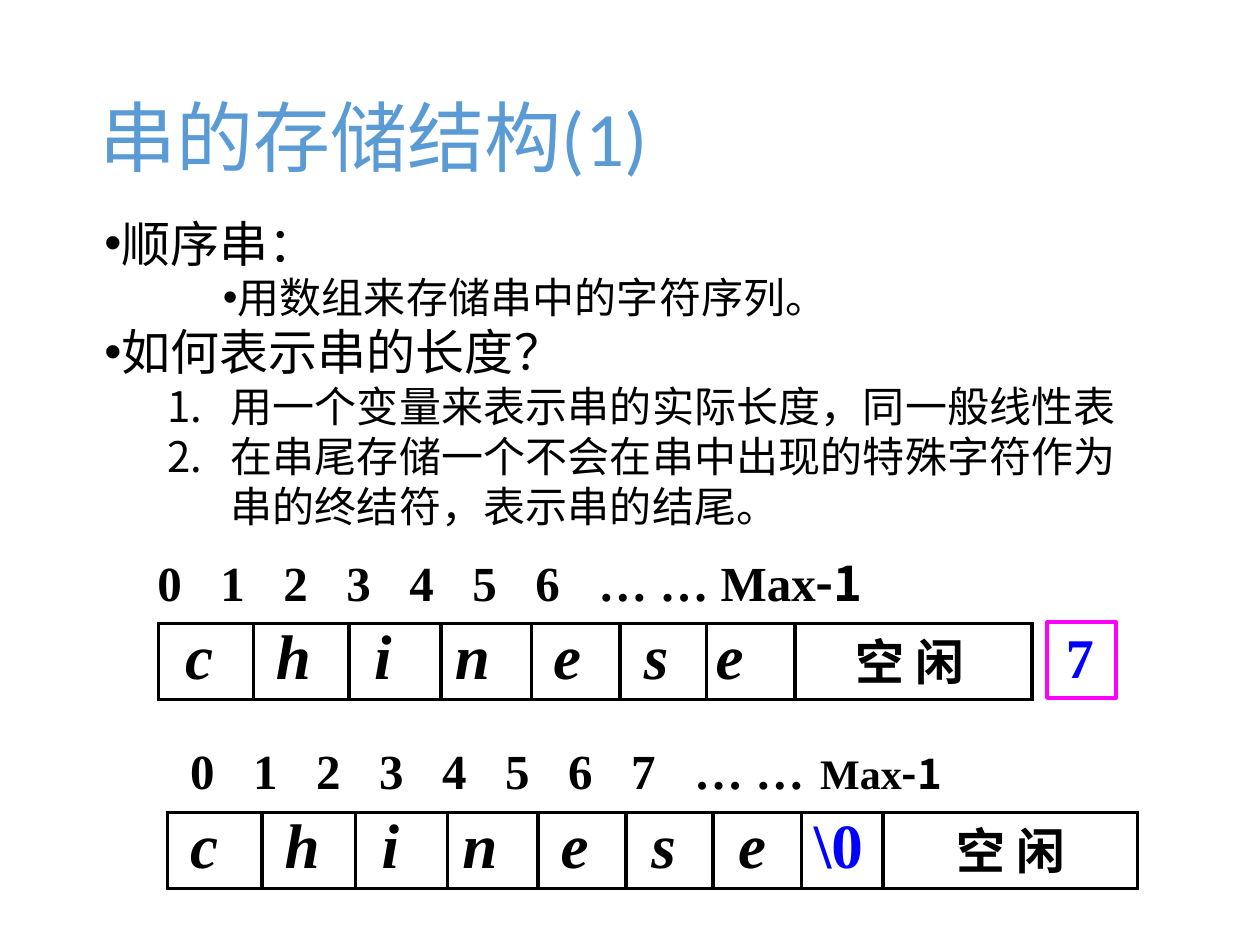
from dataclasses import dataclass

from lxml import etree
from pptx import Presentation
from pptx import util as u
from pptx.dml.color import RGBColor
from pptx.enum import shapes, text
from pptx.oxml import ns


@dataclass(frozen=True)
class Theme:
    title_color: str = "5B9BD5"
    ink: str = "000000"
    accent: str = "0000FF"
    frame: str = "FF00FF"
    latin: str = "Calibri"
    serif: str = "Times New Roman"
    chinese: str = "Noto Sans CJK SC"
    title: int = 44
    letter: int = 36
    count: int = 32
    large: int = 28
    medium: int = 24
    line: float = 2.25


THEME = Theme()
INDEX_TABS = (0.71, 1.51, 2.21, 2.91, 3.72, 4.42, 5.13, 5.63, 6.83)
LETTER = dict(size=THEME.letter, font=THEME.serif, bold=True, italic=True)
TERMINATOR = dict(LETTER, color=THEME.accent, italic=False)
FREE = dict(size=THEME.large, font=THEME.chinese, bold=True)


def add_child(parent, tag, **attributes):
    child = etree.SubElement(parent, ns.qn(tag))
    for name, value in attributes.items():
        child.set(name, str(value))
    return child


def add_run(paragraph, words, size, font, color=THEME.ink, east=None, spacing=0, **formats):
    run = paragraph.add_run()
    run.text = words
    for name, value in dict(formats, size=u.Pt(size), name=font).items():
        setattr(run.font, name, value)
    run.font.color.rgb = RGBColor.from_string(color)
    properties = run.font._element
    add_child(properties, "a:ea", typeface=east or font)
    if spacing:
        properties.set("spc", str(round(spacing * 100)))


def set_indent(paragraph, left, first=0):
    properties = paragraph._p.get_or_add_pPr()
    properties.set("marL", str(u.Inches(left)))
    properties.set("indent", str(u.Inches(first)))
    return properties


def format_frame(frame, margin_x=0, margin_y=0, anchor=text.MSO_ANCHOR.TOP):
    formats = dict(
        word_wrap=True,
        vertical_anchor=anchor,
        margin_left=u.Inches(margin_x),
        margin_right=u.Inches(margin_x),
        margin_top=u.Inches(margin_y),
        margin_bottom=u.Inches(margin_y),
    )
    for name, value in formats.items():
        setattr(frame, name, value)
    return frame


def add_text(slide, box, **formats):
    shape = slide.shapes.add_textbox(*map(u.Inches, box))
    return format_frame(shape.text_frame, **formats)


def add_title(slide, box, words):
    frame = add_text(slide, box, margin_x=0.1, margin_y=0.05, anchor=text.MSO_ANCHOR.MIDDLE)
    paragraph = frame.paragraphs[0]
    paragraph.line_spacing = 0.9
    add_run(paragraph, words, THEME.title, THEME.latin, THEME.title_color, east=THEME.chinese)


def add_body(slide, box, items):
    """Items are (words, size, left indent, first-line indent, numbered)."""
    frame = add_text(slide, box, margin_x=0.1, margin_y=0.05)
    for index, (words, size, left, first, numbered) in enumerate(items):
        paragraph = frame.add_paragraph() if index else frame.paragraphs[0]
        paragraph.level = 1 if size == THEME.medium else 0
        paragraph.line_spacing = u.Pt(round(size * 1.19, 1))
        properties = set_indent(paragraph, left, first)
        if numbered:
            add_child(properties, "a:buAutoNum", type="arabicPeriod")
        else:
            add_child(properties, "a:buFont", typeface="Arial")
            add_child(properties, "a:buChar", char="•")
        add_run(paragraph, words, size, THEME.chinese, spacing=0.1)


def add_indexes(slide, box, indexes, last_size):
    """Tabbed array indexes that end in Max-1."""
    paragraph = add_text(slide, box).paragraphs[0]
    paragraph.line_spacing = u.Pt(37)
    tabs = add_child(set_indent(paragraph, 0.01), "a:tabLst")
    for position in INDEX_TABS:
        add_child(tabs, "a:tab", pos=u.Inches(position), algn="l")
    add_run(paragraph, indexes, THEME.large, THEME.serif, bold=True)
    add_run(paragraph, "Max", last_size, THEME.serif, bold=True)
    add_run(paragraph, "-1", last_size, THEME.chinese, bold=True, spacing=-0.1)


def set_borders(cell):
    properties = cell._tc.get_or_add_tcPr()
    for position, side in enumerate(("a:lnL", "a:lnR", "a:lnT", "a:lnB")):
        line = etree.Element(ns.qn(side), w=str(u.Pt(THEME.line)))
        add_child(add_child(line, "a:solidFill"), "a:srgbClr", val=THEME.ink)
        properties.insert(position, line)


def add_array(slide, box, cells):
    """One-row table; cells are (words, width, indent, formats)."""
    shape = slide.shapes.add_table(1, len(cells), *map(u.Inches, box))
    table = shape.table
    table.first_row = table.horz_banding = False
    table.rows[0].height = u.Inches(box[3])
    for column, (words, width, indent, formats) in enumerate(cells):
        table.columns[column].width = u.Inches(width)
        cell = table.cell(0, column)
        cell.fill.background()
        for side in ("left", "right", "top", "bottom"):
            setattr(cell, f"margin_{side}", 0)
        set_borders(cell)
        paragraph = cell.text_frame.paragraphs[0]
        set_indent(paragraph, indent)
        add_run(paragraph, words, **formats)


def letter_cells(widths, indents):
    return [(*cell, LETTER) for cell in zip("chinese", widths, indents)]


def add_length(slide, box, words):
    shape = slide.shapes.add_shape(shapes.MSO_SHAPE.RECTANGLE, *map(u.Inches, box))
    shape.shadow.inherit = False
    shape.fill.background()
    shape.line.color.rgb = RGBColor.from_string(THEME.frame)
    shape.line.width = u.Pt(THEME.line)
    paragraph = format_frame(shape.text_frame).paragraphs[0]
    paragraph.alignment = text.PP_ALIGN.LEFT
    set_indent(paragraph, 0.15)
    add_run(paragraph, words, THEME.count, THEME.serif, THEME.accent, bold=True)


def main():
    presentation = Presentation()
    presentation.slide_width, presentation.slide_height = u.Inches(10), u.Inches(7.5)
    slide = presentation.slides.add_slide(presentation.slide_layouts[6])

    add_title(slide, (0.69, 0.4, 8.62, 1.45), "串的存储结构(1)")
    add_body(slide, (0.72, 1.65, 8.62, 2.67), [
        ("顺序串：", THEME.large, 0.01, 0, False),
        ("用数组来存储串中的字符序列。", THEME.medium, 0.51, 0.44, False),
        ("如何表示串的长度？", THEME.large, 0.01, 0, False),
        ("用一个变量来表示串的实际长度，同一般线性表", THEME.medium, 1.01, -0.5, True),
        ("在串尾存储一个不会在串中出现的特殊字符作为 串的终结符，表示串的结尾。",
         THEME.medium, 1.01, -0.5, True),
    ])

    add_indexes(slide, (1.24, 4.34, 8, 0.47), "0\t1\t2\t3\t4\t5\t6\t… … ", THEME.large)
    add_array(slide, (1.26, 4.95, 6.93, 0.6), letter_cells(
        (0.75, 0.76, 0.73, 0.72, 0.7, 0.69, 0.7),
        (0.21, 0.18, 0.2, 0.11, 0.17, 0.19, 0.07),
    ) + [("空 闲", 1.88, 0.48, FREE)])
    add_length(slide, (8.31, 4.94, 0.55, 0.6), "7")

    add_indexes(slide, (1.5, 5.83, 8, 0.47), "0\t1\t2\t3\t4\t5\t6\t7\t… …\t", THEME.medium)
    add_array(slide, (1.33, 6.45, 7.71, 0.6), letter_cells(
        (0.75, 0.74, 0.73, 0.72, 0.7, 0.69, 0.7),
        (0.18, 0.18, 0.21, 0.12, 0.18, 0.2, 0.2),
    ) + [("\\0", 0.65, 0.1, TERMINATOR), ("空 闲", 2.02, 0.58, FREE)])

    presentation.save("out.pptx")


if __name__ == "__main__":
    main()
